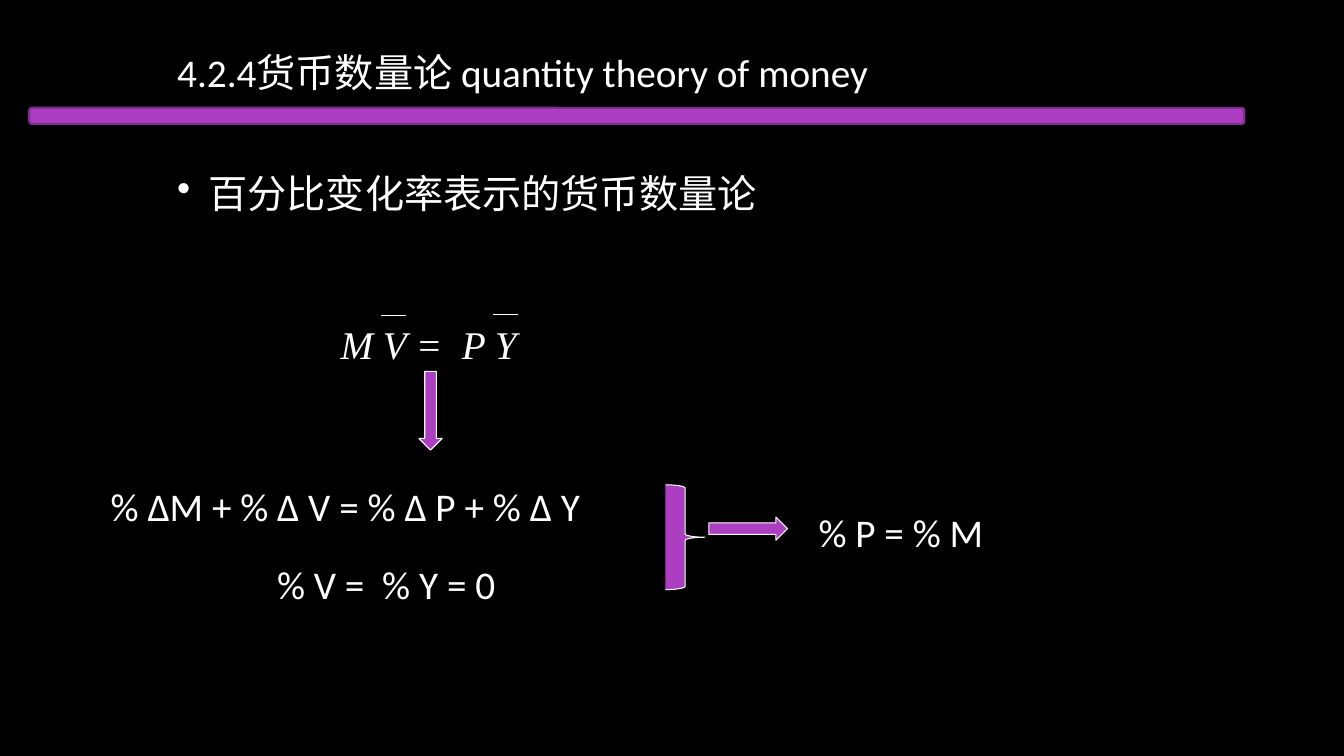
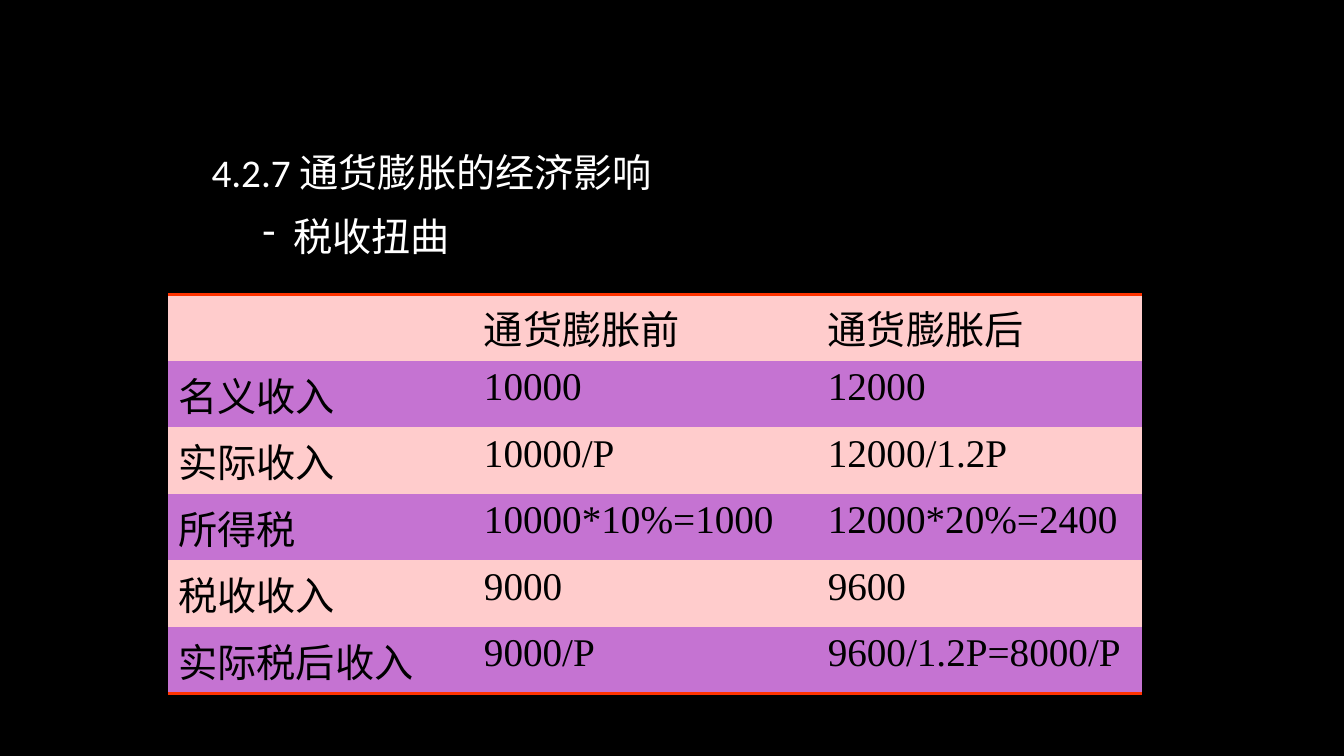
from lxml import etree
from pptx import Presentation
from pptx.dml.color import RGBColor
from pptx.enum.shapes import MSO_CONNECTOR, MSO_SHAPE
from pptx.oxml.ns import qn
from pptx.util import Inches, Pt

COLORS = {"background": "000000", "text": "FFFFFF", "accent": "AC3EC1",
          "bar_line": "7F2E8F", "row_light": "FFCCCC", "row_dark": "C573D2",
          "table_rule": "FF3300", "table_text": "000000"}
SANS, SERIF = "Calibri", "Times New Roman"
SIZE = Pt(28)

# Slide 1 content
THEORY_TITLE = "4.2.4货币数量论 quantity theory of money"
THEORY_POINT = "百分比变化率表示的货币数量论"
EQUATION = "M V =  P Y"
OVERLINES = [(3.78, 3.13), (4.89, 3.12)]  # left, top
OVERLINE_WIDTH = 0.25
FORMULAS = [  # text, left, top, width
    ("% ∆M + % ∆ V = % ∆ P + % ∆ Y", 1, 4.74, 5.67),
    ("% V =  % Y = 0", 2.65, 5.51, 2.84),
    ("% P = % M", 8.02, 4.99, 1.97),
]
ARROWS = [(7.03, 5.13, 0), (3.88, 3.96, 90)]  # left, top, rotation

# Slide 2 content
IMPACT_TITLE = "4.2.7 通货膨胀的经济影响"
IMPACT_POINT = "税收扭曲"
COLUMN_WIDTHS = [3.03, 3.41, 3.22]
ROW_HEIGHT = 0.66
INCOME_ROWS = [
    ("", "通货膨胀前", "通货膨胀后"),
    ("名义收入", "10000", "12000"),
    ("实际收入", "10000/P", "12000/1.2P"),
    ("所得税", "10000*10%=1000", "12000*20%=2400"),
    ("税收收入", "9000", "9600"),
    ("实际税后收入", "9000/P", "9600/1.2P=8000/P"),
]


def rgb(name):
    return RGBColor.from_string(COLORS[name])


def new_slide(prs):
    s = prs.slides.add_slide(prs.slide_layouts[6])
    s.background.fill.solid()
    s.background.fill.fore_color.rgb = rgb("background")
    return s


def style(p, font=SANS, color="text", italic=False):
    for r in p.runs:
        r.font.name, r.font.size = font, SIZE
        r.font.color.rgb = rgb(color)
        r.font.italic = italic


def add_text(s, paragraphs, left, top, width, height=0.57, wrap=True, **look):
    tf = s.shapes.add_textbox(*map(Inches, (left, top, width, height))).text_frame
    tf.word_wrap = wrap
    tf.text = "\n".join(paragraphs)
    for p in tf.paragraphs:
        style(p, **look)
    return tf


def add_bullet(p, char, margin, hanging=0.31):
    pPr = p._p.get_or_add_pPr()
    pPr.set("marL", str(Inches(margin)))
    pPr.set("indent", str(-Inches(hanging)))
    etree.SubElement(pPr, qn("a:buChar")).set("char", char)


def add_accent(s, preset, left, top, width, height, line="text", weight=0.75):
    sp = s.shapes.add_shape(preset, *map(Inches, (left, top, width, height)))
    sp.shadow.inherit = False
    sp.fill.solid()
    sp.fill.fore_color.rgb = rgb("accent")
    sp.line.color.rgb = rgb(line)
    sp.line.width = Pt(weight)
    return sp


def add_overline(s, left, top):
    line = s.shapes.add_connector(
        MSO_CONNECTOR.STRAIGHT,
        *map(Inches, (left, top, left + OVERLINE_WIDTH, top)))
    line.line.color.rgb = rgb("text")
    line.line.width = Pt(0.75)
    etree.SubElement(line._element.spPr, qn("a:effectLst"))


def add_rule(cell, tag):
    ln = etree.Element(qn(tag), w=str(Pt(2.25)))
    fill = etree.SubElement(ln, qn("a:solidFill"))
    etree.SubElement(fill, qn("a:srgbClr")).set("val", COLORS["table_rule"])
    cell._tc.get_or_add_tcPr().insert(0, ln)


def build_theory(prs):
    s = new_slide(prs)
    # Heading, bar and bullet
    title = add_text(s, [THEORY_TITLE], 1.66, 0.48, 10)
    point = add_text(s, [THEORY_POINT], 1.66, 1.68, 10)
    for tf in (title, point):
        tf.paragraphs[0].line_spacing = 0.9
    add_bullet(point.paragraphs[0], "•", 0.31)
    add_accent(s, MSO_SHAPE.ROUNDED_RECTANGLE, 0.29, 1.07, 12.05, 0.16,
               "bar_line", 1.5)

    # Equation and its percentage form
    add_text(s, [EQUATION], 3.28, 3.13, 1.97, wrap=False, font=SERIF, italic=True)
    for left, top in OVERLINES:
        add_overline(s, left, top)
    for text, left, top, width in FORMULAS:
        add_text(s, [text], left, top, width)

    # Arrows and brace
    for left, top, rotation in ARROWS:
        arrow = add_accent(s, MSO_SHAPE.RIGHT_ARROW, left, top, 0.78, 0.23)
        arrow.rotation = rotation
    add_accent(s, MSO_SHAPE.RIGHT_BRACE, 6.6, 4.81, 0.39, 1.04)


def build_impact(prs):
    s = new_slide(prs)
    # Heading and sub-point
    tf = add_text(s, [IMPACT_TITLE, IMPACT_POINT], 2, 1.4, 9.33, 1.5)
    for p in tf.paragraphs:
        p.line_spacing = 1.05
        p.space_after = Pt(10)
    add_bullet(tf.paragraphs[1], "‐", 0.81)

    # Income table
    table = s.shapes.add_table(
        len(INCOME_ROWS), len(COLUMN_WIDTHS), Inches(1.67), Inches(2.92),
        Inches(sum(COLUMN_WIDTHS)), Inches(ROW_HEIGHT * len(INCOME_ROWS))).table
    table.first_row = table.horz_banding = False
    style_id = table._tbl.tblPr.find(qn("a:tableStyleId"))
    style_id.text = "{2D5ABB26-0587-4C30-8999-92F81FD0307C}"
    for column, width in zip(table.columns, COLUMN_WIDTHS):
        column.width = Inches(width)
    for i, row in enumerate(INCOME_ROWS):
        table.rows[i].height = Inches(ROW_HEIGHT)
        for j, text in enumerate(row):
            cell = table.cell(i, j)
            cell.text = text
            style(cell.text_frame.paragraphs[0], SERIF, "table_text")
            cell.fill.solid()
            cell.fill.fore_color.rgb = rgb("row_dark" if i % 2 else "row_light")
            if i == 0:
                add_rule(cell, "a:lnT")
            elif i == len(INCOME_ROWS) - 1:
                add_rule(cell, "a:lnB")


def main():
    prs = Presentation()
    prs.slide_width, prs.slide_height = Inches(13.33), Inches(7.5)
    build_theory(prs)
    build_impact(prs)
    prs.save("out.pptx")


if __name__ == "__main__":
    main()
